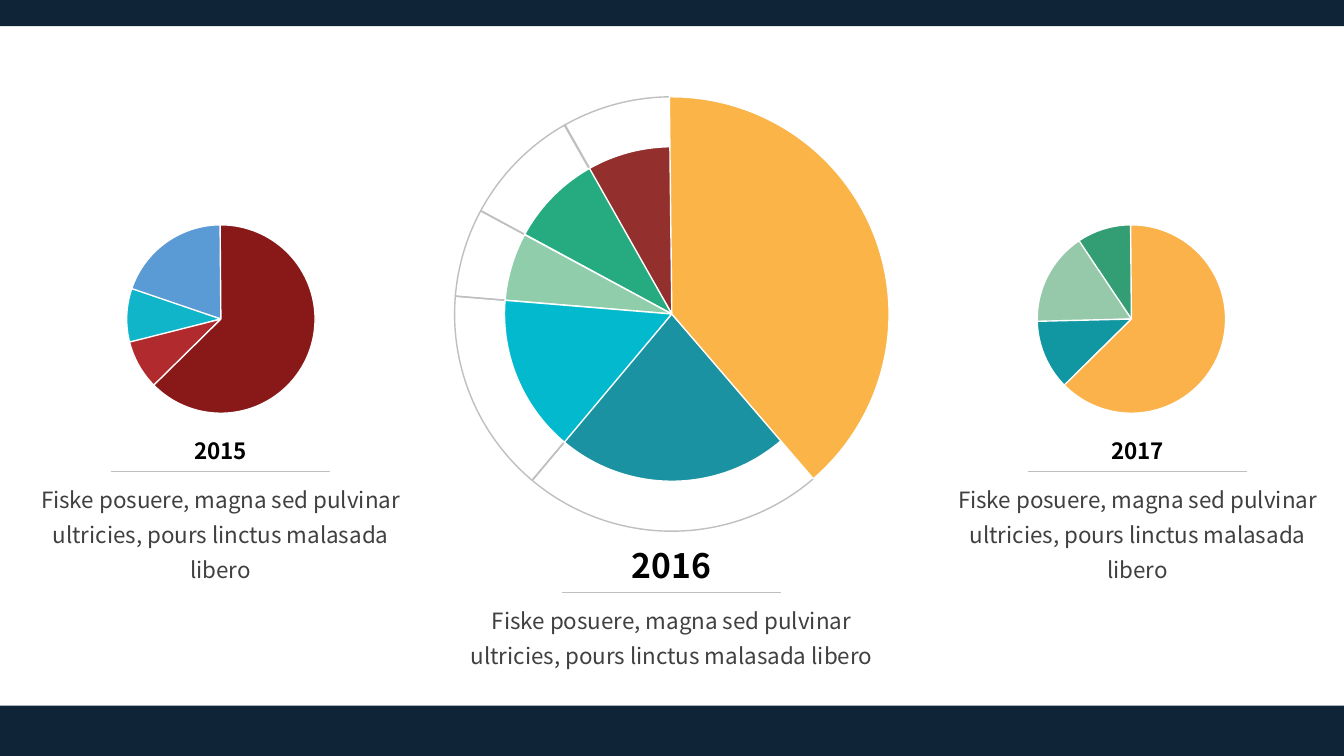
from pptx import Presentation
from pptx.dml.color import RGBColor
from pptx.enum.shapes import MSO_CONNECTOR, MSO_SHAPE
from pptx.enum.text import MSO_AUTO_SIZE, PP_ALIGN
from pptx.oxml import parse_xml
from pptx.util import Pt

FONT = "Noto Sans CJK SC"
WIDTH, HEIGHT = 960, 540
COLORS = {
    "navy": "102437", "grey": "BFBFBF", "white": "FFFFFF",
    "black": "000000", "text": "404040",
    "blue": "5B9BD5", "turquoise": "11B5C9", "red": "B12A2D", "maroon": "881918",
    "forest": "339D73", "sage": "96C9AA", "lagoon": "1197A2", "apricot": "FCB24A",
    "brick": "93302D", "green": "25AB7F", "mint": "90CDAB", "cyan": "03B9CD",
    "teal": "1A92A2", "gold": "FBB448",
}
BODY = "Fiske posuere, magna sed pulvinar ultricies, pours linctus malasada libero"

# Slices: start angle, end angle (degrees clockwise from the right), colour.
# Later slices cover the overlapping ends of earlier ones.
SLICES_2015 = [(197.49, 329.66, "blue"), (165.24, 198.82, "turquoise"),
               (135.19, 165.84, "red"), (269.53, 135.42, "maroon")]
SLICES_2017 = [(234.65, 329.66, "forest"), (178.05, 236.19, "sage"),
               (135.19, 178.63, "lagoon"), (269.53, 135.42, "apricot")]
RING_2016 = [(48.58, 129.96, None), (130.06, 184.69, None), (184.74, 208.32, None),
             (208.44, 240.56, None), (240.34, 270, None)]
INNER_2016 = [(239.93, 270, "brick"), (208.44, 240.52, "green"),
              (184.74, 208.32, "mint"), (128.58, 184.69, "cyan"),
              (48.58, 129.96, "teal")]
OUTER_2016 = [(269.34, 49.35, "gold")]


def color(name):
    return RGBColor.from_string(COLORS[name])


def add_bar(page, top, height):
    bar = page.shapes.add_shape(MSO_SHAPE.RECTANGLE, 0, Pt(top), Pt(WIDTH), Pt(height))
    bar.shadow.inherit = False
    bar.fill.solid()
    bar.fill.fore_color.rgb = color("navy")
    bar.line.fill.background()


def add_pie(page, center_x, center_y, diameter, slices):
    left, top = center_x - diameter / 2, center_y - diameter / 2
    for start, end, fill in slices:
        wedge = page.shapes.add_shape(
            MSO_SHAPE.PIE, Pt(left), Pt(top), Pt(diameter), Pt(diameter))
        wedge.shadow.inherit = False
        # An adjustment of 0.6 stands for one degree
        wedge.adjustments[0] = start * 0.6
        wedge.adjustments[1] = end * 0.6
        if fill:
            wedge.fill.solid()
            wedge.fill.fore_color.rgb = color(fill)
        else:
            wedge.fill.background()
        wedge.line.color.rgb = color("white" if fill else "grey")
        wedge.line.width = Pt(1)


def add_text(page, text, center_x, top, width, height, size, fill, bold=False, spacing=None):
    box = page.shapes.add_textbox(Pt(center_x - width / 2), Pt(top), Pt(width), Pt(height))
    frame = box.text_frame
    frame.word_wrap = True
    frame.auto_size = MSO_AUTO_SIZE.SHAPE_TO_FIT_TEXT
    para = frame.paragraphs[0]
    para.text = text
    para.alignment = PP_ALIGN.CENTER
    para.line_spacing = spacing
    para.font.name = FONT
    para.font.size = Pt(size)
    para.font.bold = bold
    para.font.color.rgb = color(fill)


def add_rule(page, center_x, y, width=156.2):
    rule = page.shapes.add_connector(
        MSO_CONNECTOR.STRAIGHT, Pt(center_x - width / 2), Pt(y), Pt(center_x + width / 2), Pt(y))
    rule.line.color.rgb = color("grey")
    rule.line.width = Pt(0.5)
    rule._element.spPr.append(parse_xml(
        '<a:effectLst xmlns:a="http://schemas.openxmlformats.org/drawingml/2006/main"/>'))


def add_caption(page, year, center_x, top, size, year_box, body_width):
    year_width, year_height = year_box
    rule_y = top + year_height + 1
    add_text(page, year, center_x, top, year_width, year_height, size, "black", bold=True)
    add_text(page, BODY, center_x, rule_y + 1.4, body_width, 57.6, 16, "text", spacing=1.3)
    add_rule(page, center_x, rule_y)


def main():
    deck = Presentation()
    deck.slide_width, deck.slide_height = Pt(WIDTH), Pt(HEIGHT)
    page = deck.slides.add_slide(deck.slide_layouts[6])

    # Bars at the top and bottom
    add_bar(page, 0, 18.7)
    add_bar(page, 504, 36)

    # Pies: small ones at the sides, large one in the middle
    add_pie(page, 157.8, 227.9, 134.6, SLICES_2015)
    add_pie(page, 808.2, 227.9, 134.6, SLICES_2017)
    for diameter, slices in ((310.3, RING_2016), (239, INNER_2016), (310.3, OUTER_2016)):
        add_pie(page, 479.9, 224.3, diameter, slices)

    # Captions
    add_caption(page, "2015", 157.6, 308.9, 16, (69, 26.6), 284.4)
    add_caption(page, "2016", 479.7, 385.9, 24, (88, 36), 315.4)
    add_caption(page, "2017", 812.6, 308.9, 16, (69, 26.6), 284.4)

    deck.save("out.pptx")


main()
